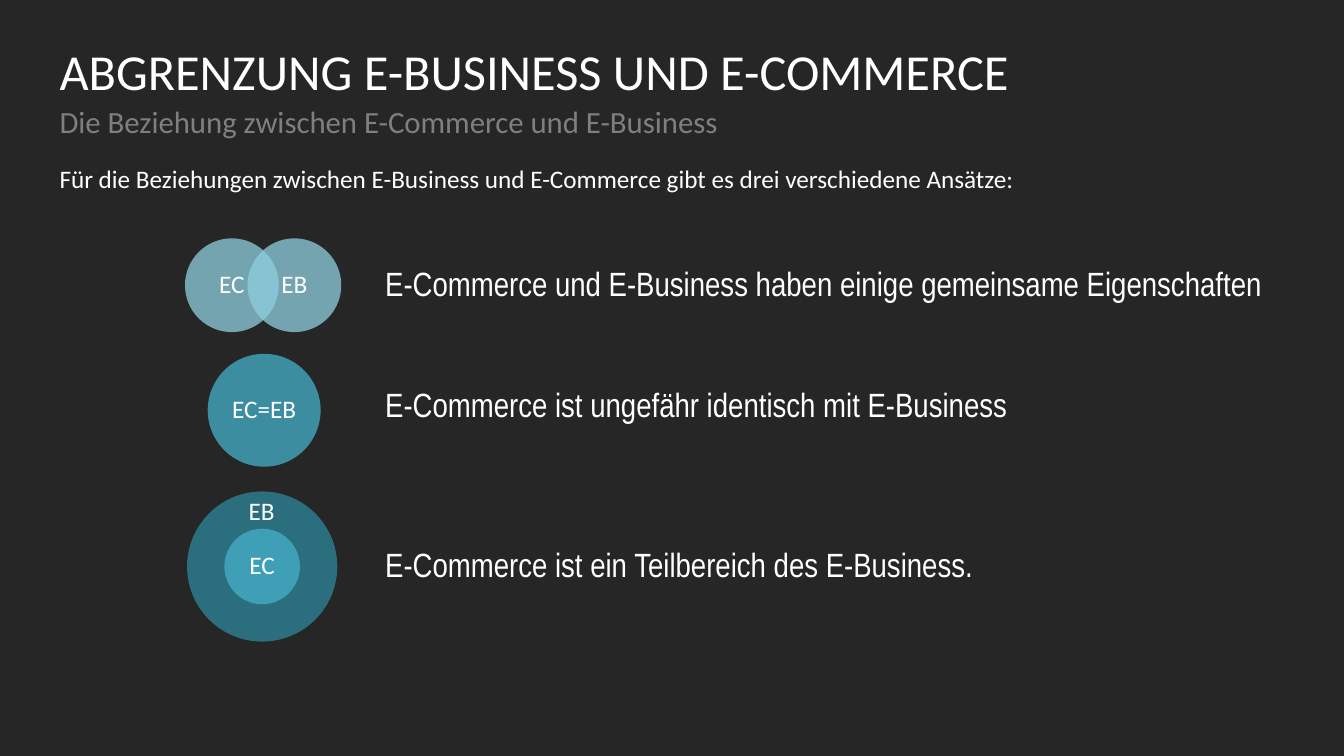
from dataclasses import dataclass

from lxml.etree import SubElement
from pptx import Presentation
from pptx.dml.color import RGBColor
from pptx.enum.shapes import MSO_SHAPE
from pptx.enum.text import MSO_ANCHOR, PP_ALIGN
from pptx.oxml.ns import qn
from pptx.util import Inches, Pt


@dataclass(frozen=True)
class Theme:
    back: str = "262626"
    white: str = "FFFFFF"
    gray: str = "7F7F7F"
    pale: str = "8FD0E0"
    teal: str = "45B1CB"
    deep: str = "2D899F"
    alpha: int = 74
    head: int = 36
    sub: int = 22
    body: int = 18
    claim: int = 24
    font: str = "Calibri"
    narrow: str = "Arial Narrow"


THEME = Theme()
LEFT, RIGHT = 0.59, 12.74
CLAIM_X = 3.82


def set_all(item, values):
    for name, value in values.items():
        setattr(item, name, value)


def write(shape, text, size, color=THEME.white, font=THEME.font,
          align=PP_ALIGN.LEFT, anchor=MSO_ANCHOR.TOP, inset=0, after=10):
    frame = shape.text_frame
    sides = ("left", "top", "right", "bottom")
    set_all(frame, {f"margin_{side}": Inches(inset) for side in sides})
    set_all(frame, {"word_wrap": True, "vertical_anchor": anchor})
    para = frame.paragraphs[0]
    set_all(para, {"text": text, "alignment": align,
                   "line_spacing": 0.9, "space_after": Pt(after)})
    set_all(para.runs[0].font, {"size": Pt(size), "name": font})
    para.runs[0].font.color.rgb = RGBColor.from_string(color)


def add_text(slide, text, left, top, width, height, size, **style):
    box = slide.shapes.add_textbox(
        Inches(left), Inches(top), Inches(width), Inches(height))
    write(box, text, size, **style)


def add_circle(slide, mid_x, mid_y, size, color, label=None):
    """Draw a see-through circle around its centre point."""
    disc = slide.shapes.add_shape(
        MSO_SHAPE.OVAL, Inches(mid_x - size / 2), Inches(mid_y - size / 2),
        Inches(size), Inches(size))
    disc.shadow.inherit = False
    disc.line.fill.background()
    disc.fill.solid()
    disc.fill.fore_color.rgb = RGBColor.from_string(color)
    tone = disc.fill._xPr.find(f".//{qn('a:srgbClr')}")
    SubElement(tone, qn("a:alpha")).set("val", str(THEME.alpha * 1000))
    if label:
        write(disc, label, THEME.body, align=PP_ALIGN.CENTER,
              anchor=MSO_ANCHOR.MIDDLE, inset=0.04)


def add_claim(slide, text, mid_y):
    add_text(slide, text, CLAIM_X, mid_y - 0.18, RIGHT - CLAIM_X, 0.36,
             THEME.claim, font=THEME.narrow)


def main():
    deck = Presentation()
    set_all(deck, {"slide_width": Inches(13.33), "slide_height": Inches(7.5)})
    slide = deck.slides.add_slide(deck.slide_layouts[6])
    slide.background.fill.solid()
    slide.background.fill.fore_color.rgb = RGBColor.from_string(THEME.back)

    wide = RIGHT - LEFT
    add_text(slide, "ABGRENZUNG E-BUSINESS UND E-COMMERCE",
             LEFT, 0.47, wide, 0.59, THEME.head, after=0)
    add_text(slide, "Die Beziehung zwischen E-Commerce und E-Business",
             LEFT, 1.06, wide, 0.59, THEME.sub, color=THEME.gray)
    add_text(slide, "Für die Beziehungen zwischen E-Business und E-Commerce "
             "gibt es drei verschiedene Ansätze:",
             LEFT, 1.65, wide, 0.27, THEME.body)

    for label, mid_x in (("EC", 2.3), ("EB", 2.92)):
        add_circle(slide, mid_x, 2.83, 0.93, THEME.pale, label)
    add_circle(slide, 2.62, 4.07, 1.12, THEME.teal, "EC=EB")
    add_circle(slide, 2.6, 5.62, 1.49, THEME.deep)
    add_text(slide, "EB", 2.22, 4.95, 0.75, 0.27, THEME.body,
             align=PP_ALIGN.CENTER)
    add_circle(slide, 2.6, 5.62, 0.75, THEME.teal, "EC")

    for text, mid_y in (
        ("E-Commerce und E-Business haben einige gemeinsame Eigenschaften", 2.83),
        ("E-Commerce ist ungefähr identisch mit E-Business", 4.03),
        ("E-Commerce ist ein Teilbereich des E-Business.", 5.62),
    ):
        add_claim(slide, text, mid_y)

    deck.save("out.pptx")


if __name__ == "__main__":
    main()
